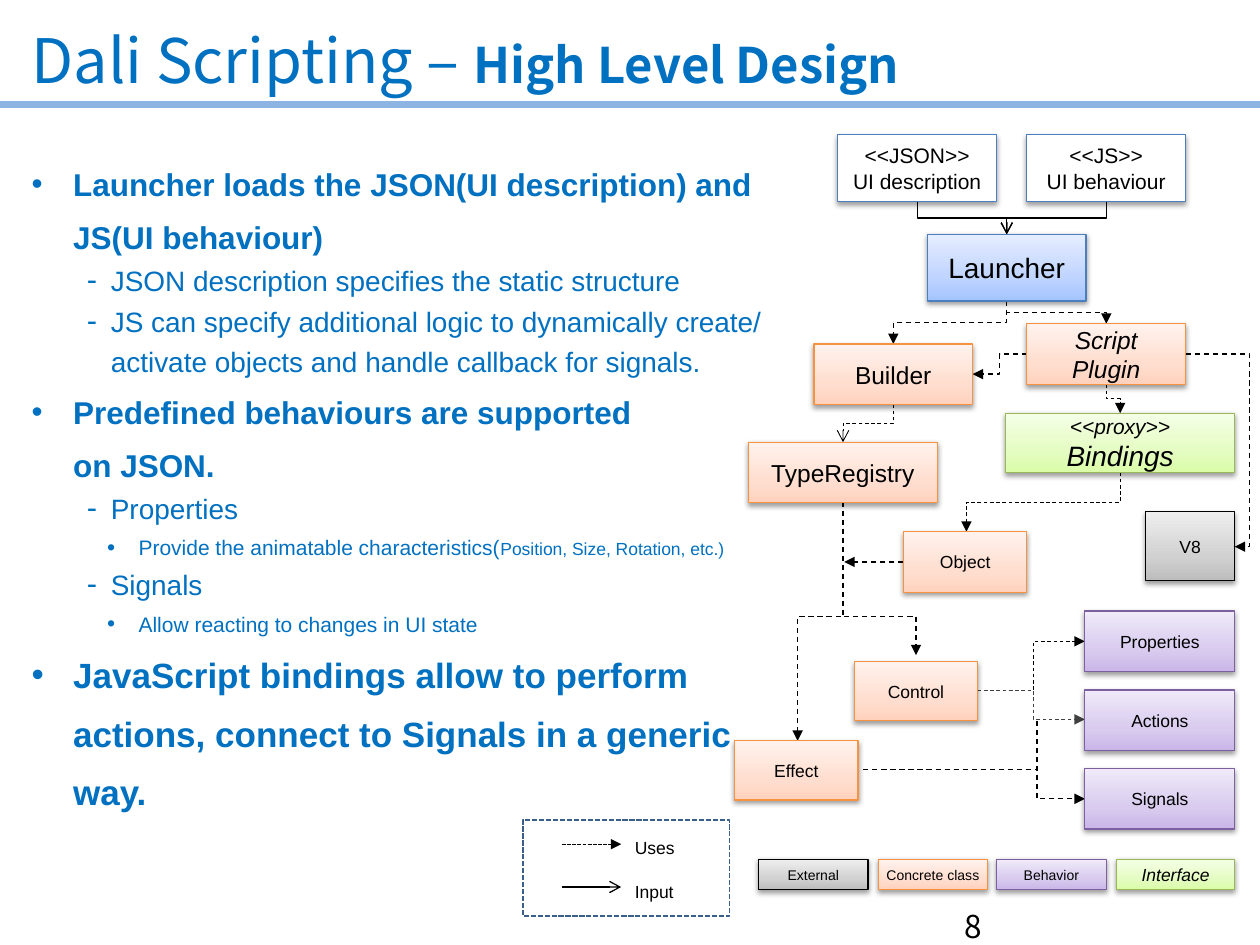
import copy
import dataclasses
import typing

import lxml.etree
import pptx
import pptx.dml.color
import pptx.enum.dml
import pptx.enum.shapes
import pptx.enum.text
import pptx.oxml.ns
import pptx.util

Inches = pptx.util.Inches
Pt = pptx.util.Pt
qn = pptx.oxml.ns.qn
DASH = pptx.enum.dml.MSO_LINE.DASH
DOTS = pptx.enum.dml.MSO_LINE.SQUARE_DOT
RECT = pptx.enum.shapes.MSO_SHAPE.RECTANGLE
LINK = pptx.enum.shapes.MSO_CONNECTOR
ALIGN = pptx.enum.text.PP_ALIGN
MIDDLE = pptx.enum.text.MSO_ANCHOR.MIDDLE
FIT = pptx.enum.text.MSO_AUTO_SIZE

HUES = {"blue": "0070C0", "black": "000000", "gray": "404040",
        "rule": "8EB4E3", "frame": "3A5F8C"}
# Box kinds: outline, then fill colours from bottom to top
KINDS = {
    "input": ("4B7EBC", ["FFFFFF"]),
    "start": ("4B7EBC", ["A4C4FF", "BFD4FF", "E6EEFF"]),
    "class": ("F69240", ["FFD2BD", "FFDED0", "FFF2ED"]),
    "outer": ("000000", ["BDBDBD", "D1D1D1", "EEEEEE"]),
    "trait": ("7D60A0", ["C9B5E8", "D8CBEE", "F0EAF9"]),
    "proxy": ("98B955", ["DAFDA7", "E4FCC2", "F5FFE7"]),
}


@dataclasses.dataclass
class Box:
    kind: str
    x: float
    y: float
    w: float
    h: float
    lines: list[str]
    sizes: list[int]
    slant: bool = False


@dataclasses.dataclass
class Link:
    x1: float
    y1: float
    x2: float
    y2: float
    form: str = "line"  # line, across (sideways first) or down
    head: typing.Optional[str] = "triangle"
    width: float = 0.75
    dash: typing.Any = DASH
    bend: typing.Optional[float] = 0.5  # None gives a single corner
    hue: str = "black"


@dataclasses.dataclass
class Item:
    level: int
    size: int
    text: str
    tail: str = ""


def shade(code: str) -> pptx.dml.color.RGBColor:
    return pptx.dml.color.RGBColor.from_string(code)


def add(root, tag: str, **attrs: str):
    return lxml.etree.SubElement(root, qn(tag), attrs)


def style(font, size: float, hue: str = "black", name: str = "Arial") -> None:
    font.size, font.name = Pt(size), name
    font.color.rgb = shade(HUES[hue])


def paint(fill, codes: list[str]) -> None:
    if len(codes) == 1:
        fill.solid()
        fill.fore_color.rgb = shade(codes[0])
        return
    fill.gradient()
    fill.gradient_angle = 90
    first = fill.gradient_stops[0]._gs
    first.addnext(copy.deepcopy(first))
    for stop, code, place in zip(fill.gradient_stops, codes, (0, 0.35, 1)):
        stop.color.rgb = shade(code)
        stop.position = place


def draw_box(slide, box: Box) -> None:
    edge, codes = KINDS[box.kind]
    shape = slide.shapes.add_shape(RECT, *map(Inches, (box.x, box.y, box.w, box.h)))
    paint(shape.fill, codes)
    shape.line.color.rgb = shade(edge)
    shape.line.width = Pt(0.75)
    shape.shadow.inherit = False
    drop = add(shape._element.spPr.find(qn("a:effectLst")), "a:outerShdw",
               blurRad=str(Pt(3.1)), dist=str(Pt(1.6)), dir="5400000", rotWithShape="0")
    add(add(drop, "a:srgbClr", val=HUES["black"]), "a:alpha", val="38000")
    frame = shape.text_frame
    frame.vertical_anchor = MIDDLE
    frame.margin_left = frame.margin_right = Inches(0.04)
    frame.margin_top = frame.margin_bottom = Inches(0.04)
    frame.text = "\n".join(box.lines)
    for para, size in zip(frame.paragraphs, box.sizes):
        para.alignment = ALIGN.CENTER
        style(para.font, size)
        para.font.italic = box.slant


def draw_link(slide, link: Link) -> None:
    x1, y1, x2, y2 = link.x1, link.y1, link.x2, link.y2
    if link.form == "down":  # a sideways elbow, turned about its centre
        mx, my, dx, dy = (x1 + x2) / 2, (y1 + y2) / 2, abs(x2 - x1), y2 - y1
        ends = [mx - dy / 2, my - dx / 2, mx + dy / 2, my + dx / 2]
        if x2 > x1:
            ends[0], ends[2] = ends[2], ends[0]
    else:
        ends = [x1, y1, x2, y2]
    kind = LINK.STRAIGHT if link.form == "line" else LINK.ELBOW
    wire = slide.shapes.add_connector(kind, *map(Inches, ends))
    props = wire._element.spPr
    if link.form == "down":
        props.find(qn("a:xfrm")).set("rot", str((270 if x2 > x1 else 90) * 60000))
    if link.form != "line":
        geom = props.find(qn("a:prstGeom"))
        if link.bend is None:
            geom.set("prst", "bentConnector2")
        else:
            add(geom.find(qn("a:avLst")), "a:gd", name="adj1",
                fmla=f"val {round(link.bend * 100000)}")
    wire.line.color.rgb = shade(HUES[link.hue])
    wire.line.width = Pt(link.width)
    if link.dash:
        wire.line.dash_style = link.dash
    if link.head:
        add(props.find(qn("a:ln")), "a:tailEnd", type=link.head)
    add(props, "a:effectLst")


def draw_item(para, item: Item) -> None:
    indent, hang, space, gap, mark = [
        (0.39, 0.33, 1.4, 0, "•"), (0.69, 0.19, 1.2, 0.4, "-"),
        (0.91, 0.25, 1.2, 3, "•")][item.level]
    para.level = item.level
    para.line_spacing, para.space_before = space, Pt(gap)
    props = para._p.get_or_add_pPr()
    props.set("marL", str(Inches(indent)))
    props.set("indent", str(-Inches(hang)))
    add(props, "a:buSzPct", val="110000" if item.level else "100000")
    add(props, "a:buFont", typeface="Arial")
    add(props, "a:buChar", char=mark)
    para.text = item.text
    style(para.font, item.size, "blue")
    para.font.bold = item.level == 0
    if item.tail:
        run = para.add_run()
        run.text, run.font.size = item.tail, Pt(10)


def draw_note(slide, x: float, y: float, w: float, text: str, size: int, name: str) -> None:
    frame = slide.shapes.add_textbox(*map(Inches, (x, y, w, 0.27))).text_frame
    frame.text = text
    style(frame.paragraphs[0].font, size, name=name)


def place(shape, x: float, y: float, w: float, h: float):
    shape.left, shape.top, shape.width, shape.height = map(Inches, (x, y, w, h))
    shape.text_frame.auto_size = FIT.NONE
    return shape.text_frame


deck = pptx.Presentation()
deck.slide_width, deck.slide_height = Inches(10), Inches(7.5)
slide = deck.slides.add_slide(deck.slide_layouts[1])
NOTO = "Noto Sans CJK KR"

# Title and rule
draw_link(slide, Link(0, 0.83, 10, 0.83, head=None, width=4, dash=None, hue="rule"))
frame = place(slide.shapes.title, 0.15, 0.12, 9.61, 0.69)
frame.vertical_anchor = MIDDLE
head = frame.paragraphs[0]
head.alignment = ALIGN.LEFT
for text, size, bold in (("Dali Scripting – ", 35, False), ("High Level Design", 28, True)):
    run = head.add_run()
    run.text = text
    style(run.font, size, "blue", NOTO)
    run.font.bold = bold

# Bullet list
frame = place(slide.placeholders[1], 0.09, 0.79, 6.25, 6.24)
frame.margin_left = frame.margin_right = frame.margin_bottom = Inches(0.1)
frame.margin_top = Inches(0.4)
ITEMS = [
    Item(0, 18, "Launcher loads the JSON(UI description) and JS(UI behaviour)"),
    Item(1, 16, "JSON description specifies the static structure"),
    Item(1, 16, "JS can specify additional logic to dynamically create/\vactivate "
                "objects and handle callback for signals."),
    Item(0, 18, "Predefined behaviours are supported\von JSON."),
    Item(1, 16, "Properties"),
    Item(2, 12, "Provide the animatable characteristics(", "Position, Size, Rotation, etc.)"),
    Item(1, 16, "Signals"),
    Item(2, 12, "Allow reacting to changes in UI state"),
    Item(0, 20, "JavaScript bindings allow to perform actions, connect to Signals "
                "in a generic way."),
]
for i, item in enumerate(ITEMS):
    draw_item(frame.add_paragraph() if i else frame.paragraphs[0], item)

# Links of the diagram
LINKS = [
    Link(6.78, 6.11, 8.23, 6.11, head=None),
    Link(7.76, 5.48, 8.61, 5.09, "across", width=0.5, bend=0.52),
    Link(7.76, 5.48, 8.61, 5.71, "across", width=0.5, bend=0.52, hue="gray"),
    Link(7.09, 3.21, 6.69, 3.51, "down", "arrow", 0.5),
    Link(8.78, 3.05, 8.89, 3.28, "down", width=0.5),
    Link(8.89, 3.75, 7.67, 4.22, "down", width=0.5),
    Link(9.41, 2.81, 9.8, 4.34, "across", bend=1.3),
    Link(7.28, 1.6, 7.99, 1.86, "down", "arrow", dash=None),
    Link(8.78, 1.6, 7.99, 1.86, "down", "arrow", dash=None),
    Link(7.99, 2.39, 7.09, 2.73, "down"),
    Link(7.99, 2.39, 8.78, 2.57, "down"),
    Link(6.69, 3.91, 6.33, 5.88, "down"),
    Link(7.17, 4.46, 6.7, 4.46),
    Link(6.7, 4.89, 7.27, 5.2, "across", bend=None),
    Link(8.15, 2.81, 7.72, 2.97, "across"),
    Link(8.23, 5.72, 8.61, 6.34, "down", bend=None),
    Link(4.46, 6.7, 4.93, 6.7, dash=DOTS),
    Link(4.46, 7.04, 4.93, 7.04, head="arrow", dash=None),
]
for link in LINKS:
    draw_link(slide, link)

# Boxes of the diagram and the colour key
BOXES = [
    Box("input", 6.65, 1.07, 1.26, 0.53, ["<<JSON>>", "UI description"], [12, 12]),
    Box("input", 8.15, 1.07, 1.26, 0.53, ["<<JS>>", "UI behaviour"], [12, 12]),
    Box("start", 7.36, 1.86, 1.26, 0.53, ["Launcher"], [16]),
    Box("class", 8.15, 2.57, 1.26, 0.48, ["Script", "Plugin"], [14, 14], True),
    Box("class", 6.46, 2.73, 1.26, 0.48, ["Builder"], [14]),
    Box("class", 5.94, 3.51, 1.5, 0.48, ["TypeRegistry"], [14]),
    Box("class", 7.17, 4.22, 0.98, 0.48, ["Object"], [10]),
    Box("class", 6.78, 5.25, 0.98, 0.47, ["Control"], [10]),
    Box("class", 5.83, 5.88, 0.98, 0.47, ["Effect"], [10]),
    Box("proxy", 7.98, 3.28, 1.82, 0.47, ["<<proxy>>", "Bindings"], [12, 16], True),
    Box("outer", 9.09, 4.06, 0.71, 0.55, ["V8"], [10]),
    Box("outer", 6.02, 6.82, 0.87, 0.24, ["External"], [8]),
    Box("class", 6.97, 6.82, 0.87, 0.24, ["Concrete class"], [8]),
    Box("trait", 7.91, 6.82, 0.87, 0.24, ["Behavior"], [8]),
    Box("proxy", 8.86, 6.82, 0.94, 0.24, ["Interface"], [10], True),
]
BOXES += [Box("trait", 8.61, 4.85 + 0.625 * i, 1.19, 0.48, [name], [10])
          for i, name in enumerate(("Properties", "Actions", "Signals"))]
for box in BOXES:
    draw_box(slide, box)

# Arrow key and page number
key = slide.shapes.add_shape(RECT, *map(Inches, (4.15, 6.51, 1.64, 0.76)))
key.fill.background()
key.shadow.inherit = False
key.line.color.rgb = shade(HUES["frame"])
key.line.width, key.line.dash_style = Pt(1), DOTS
draw_note(slide, 4.94, 6.59, 0.6, "Uses", 10, "Arial")
draw_note(slide, 4.94, 6.94, 0.6, "Input", 10, "Arial")
draw_note(slide, 7.56, 7.15, 2.36, "8", 18, NOTO)
deck.save("out.pptx")
